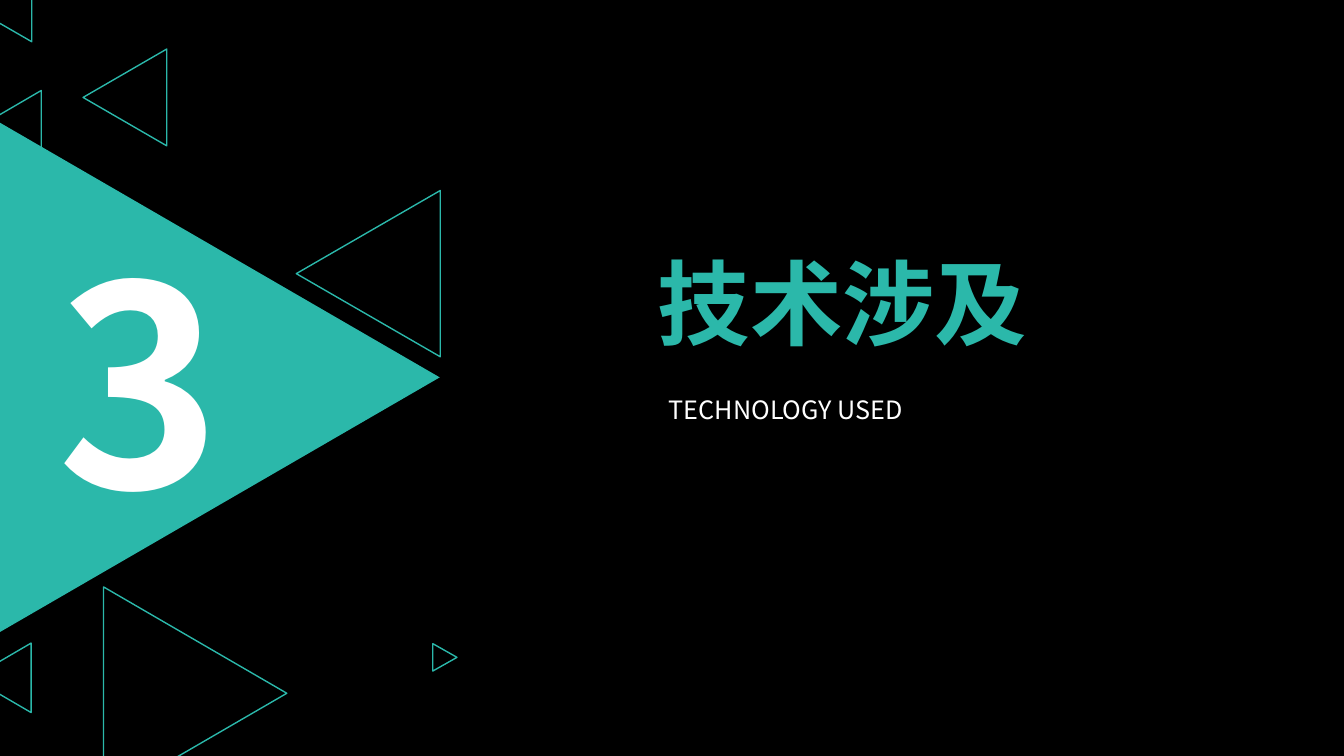
from pptx import Presentation
from pptx.dml.color import RGBColor
from pptx.enum.shapes import MSO_SHAPE as Shape
from pptx.enum.text import MSO_ANCHOR as Anchor, MSO_AUTO_SIZE as AutoSize, PP_ALIGN as Align
from pptx.oxml.ns import qn
from pptx.util import Cm, Pt

TEAL = "2BB8AA"
WHITE = "FFFFFF"
BLACK = "000000"
LEFT, RIGHT = 270, 90


def color(value):
    return RGBColor.from_string(value)


def write(box, text, size, fill=WHITE, bold=False, align=Align.LEFT, font="Noto Sans CJK SC"):
    frame = box.text_frame
    frame.word_wrap = True
    frame.auto_size = AutoSize.NONE
    frame.vertical_anchor = Anchor.MIDDLE
    para = frame.paragraphs[0]
    para.alignment = align
    span = para.add_run()
    span.text = text
    span.font.size = Pt(size)
    span.font.bold = bold
    span.font.name = font
    span.font.color.rgb = color(fill)
    east_asian = span.font._element.makeelement(qn("a:ea"), {"typeface": font})
    span.font._element.find(qn("a:latin")).addnext(east_asian)


class SectionPage:
    def __init__(self, deck, background):
        self.page = deck.slides.add_slide(deck.slide_layouts[5])
        self.page.background.fill.solid()
        self.page.background.fill.fore_color.rgb = color(background)

    def triangle(self, left, top, width, height, direction, fill=None, line=None):
        shape = self.page.shapes.add_shape(
            Shape.ISOSCELES_TRIANGLE, Cm(left), Cm(top), Cm(width), Cm(height))
        shape.rotation = direction
        shape.shadow.inherit = False
        if fill:
            shape.fill.solid()
            shape.fill.fore_color.rgb = color(fill)
        else:
            shape.fill.background()
        if line:
            shape.line.color.rgb = color(line)
            shape.line.width = Pt(1)
        else:
            shape.line.fill.background()

    def title(self, left, top, width, height, text, **style):
        box = self.page.shapes.title
        box.left, box.top, box.width, box.height = map(Cm, (left, top, width, height))
        write(box, text, **style)

    def text(self, left, top, width, height, text, **style):
        box = self.page.shapes.add_textbox(Cm(left), Cm(top), Cm(width), Cm(height))
        write(box, text, **style)


def main():
    deck = Presentation()
    deck.slide_width, deck.slide_height = Cm(33.88), Cm(19.05)
    section = SectionPage(deck, BLACK)

    section.triangle(-0.89, 3.96, 12.85, 11.1, RIGHT, fill=TEAL)
    outlines = [
        (2.24, 15.16, 5.36, 4.62, RIGHT),
        (7.19, 5.08, 4.19, 3.63, LEFT),
        (-1.96, 2.51, 3.23, 2.77, LEFT),
        (1.93, 1.4, 2.44, 2.11, LEFT),
        (-0.84, 16.33, 1.75, 1.5, LEFT),
        (10.87, 16.26, 0.69, 0.61, RIGHT),
        (-1.88, -1.63, 2.87, 2.49, LEFT),
    ]
    for left, top, width, height, direction in outlines:
        section.triangle(left, top, width, height, direction, line=TEAL)

    section.text(0.05, 5.13, 6.93, 8.76, "3", size=199, bold=True, align=Align.CENTER)
    section.title(16.33, 6.07, 18.47, 3.07, "技术涉及", size=66, fill=TEAL, bold=True)
    section.text(16.61, 9.8, 13.87, 1.02, "TECHNOLOGY USED", size=18)
    deck.save("out.pptx")


if __name__ == "__main__":
    main()
